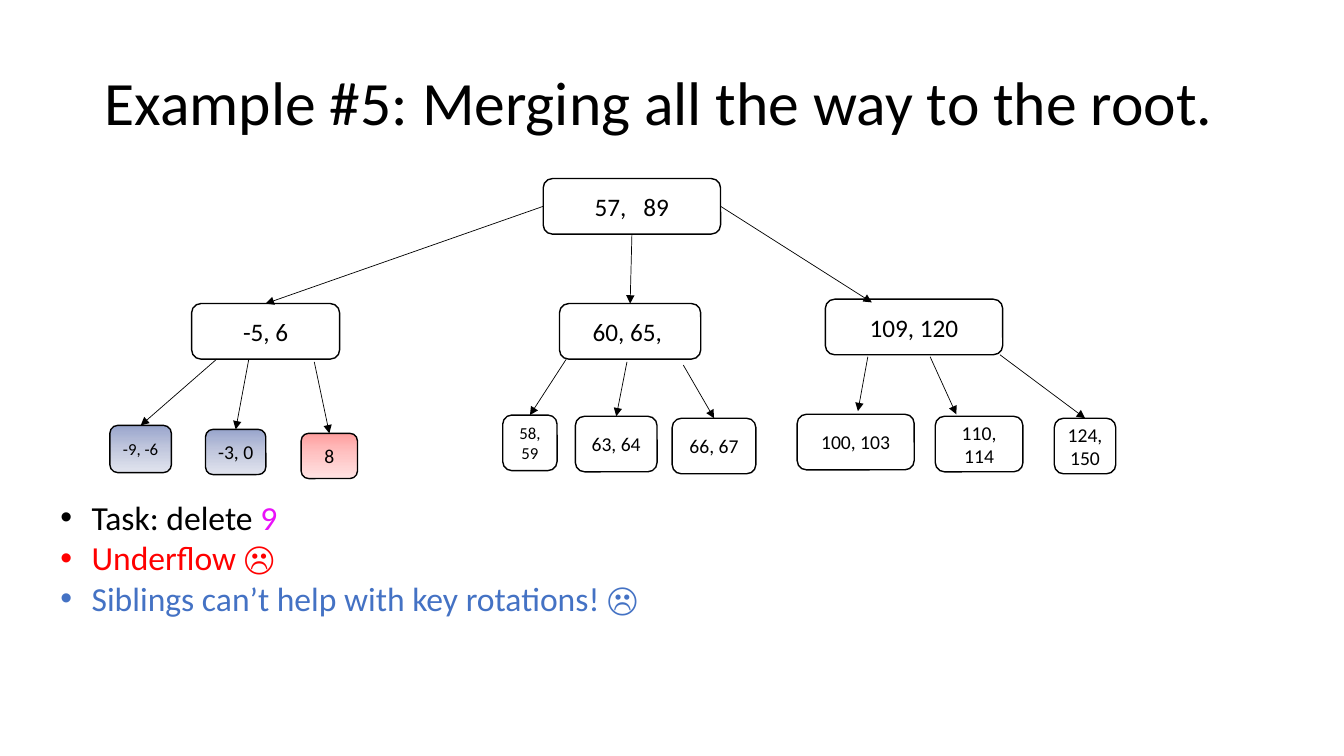
from lxml.etree import SubElement
from pptx import Presentation
from pptx.dml.color import RGBColor
from pptx.enum.shapes import MSO_CONNECTOR, MSO_SHAPE
from pptx.enum.text import MSO_ANCHOR, PP_ALIGN
from pptx.oxml.ns import qn
from pptx.util import Cm, Pt

FONT = "Calibri"
BLACK = "000000"
TITLE = "Example #5: Merging all the way to the root."
BLUES = ("99A5CC", "C2C8DE", "E1E4EE")
REDS = ("FFA0A0", "FFC5C5", "FFE3E3")
TOP, LEFT, BOTTOM, RIGHT = range(4)

NODES = {
    "root": ("57,   89", 13.69, 4.5, 4.47, 1.4, 18, None),
    "low": ("-5, 6", 4.83, 7.65, 3.73, 1.4, 18, None),
    "middle": ("60, 65, ", 14.1, 7.65, 3.56, 1.4, 18, None),
    "high": ("109, 120", 20.8, 7.54, 4.47, 1.4, 18, None),
    "low 1": ("-9, -6", 2.77, 10.72, 1.55, 1.19, 12, BLUES),
    "low 2": ("-3, 0", 5.18, 10.82, 1.52, 1.14, 14, BLUES),
    "low 3": ("8", 7.59, 10.92, 1.42, 1.14, 14, REDS),
    "middle 1": ("58, 59", 12.67, 10.46, 1.37, 1.4, 12, None),
    "middle 2": ("63, 64", 14.5, 10.49, 2.06, 1.4, 14, None),
    "middle 3": ("66, 67", 16.94, 10.54, 2.11, 1.4, 14, None),
    "high 1": ("100, 103", 20.09, 10.44, 2.95, 1.4, 14, None),
    "high 2": ("110, 114", 23.57, 10.49, 2.21, 1.4, 14, None),
    "high 3": ("124, 150", 26.57, 10.54, 1.55, 1.4, 14, None),
}

ARROWS = [
    (("root", LEFT), ("low", TOP)),
    (("root", BOTTOM), ("middle", TOP)),
    (("root", RIGHT), (21.97, 7.62)),
    ((5.46, 9.05), ("low 1", TOP)),
    ((6.27, 9.05), ("low 2", TOP)),
    ((7.92, 9.12), ("low 3", TOP)),
    ((14.27, 9.05), ("middle 1", TOP)),
    ((15.8, 9.12), ("middle 2", TOP)),
    ((17.22, 9.2), ("middle 3", TOP)),
    ((21.87, 8.99), (21.62, 10.36)),
    ((23.44, 8.99), (24.1, 10.44)),
    ((25.2, 8.94), ("high 3", TOP)),
]

BULLETS = [
    [("Task: delete ", BLACK), ("9", "E911F9")],
    [("Underflow ☹", "FF0000")],
    [("Siblings can’t help with key rotations! ☹", "4472C4")],
]


def color(value):
    return RGBColor.from_string(value)


def format_font(font, size, value=BLACK):
    font.name = FONT
    font.size = Pt(size)
    font.color.rgb = color(value)


def place(shape, left, top, width, height):
    shape.left, shape.top = Cm(left), Cm(top)
    shape.width, shape.height = Cm(width), Cm(height)


def fill_gradient(shape, shades):
    shape.fill.gradient()
    shape.fill.gradient_angle = 270
    stops = shape._element.spPr.find(qn("a:gradFill")).find(qn("a:gsLst"))
    for stop in list(stops):
        stops.remove(stop)
    for index, shade in enumerate(shades):
        stop = SubElement(stops, qn("a:gs"), pos=str(index * 50000))
        SubElement(stop, qn("a:srgbClr"), val=shade)


def add_node(slide, text, left, top, width, height, size, shades):
    shape = slide.shapes.add_shape(
        MSO_SHAPE.ROUNDED_RECTANGLE, Cm(left), Cm(top), Cm(width), Cm(height))
    shape.shadow.inherit = False
    if shades:
        fill_gradient(shape, shades)
    else:
        shape.fill.background()
    shape.line.color.rgb = color(BLACK)
    shape.line.width = Pt(1)
    frame = shape.text_frame
    frame.text = text
    frame.word_wrap = True
    frame.vertical_anchor = MSO_ANCHOR.MIDDLE
    paragraph = frame.paragraphs[0]
    paragraph.alignment = PP_ALIGN.CENTER
    format_font(paragraph.runs[0].font, size)
    return shape


def add_arrow(slide, shapes, start, end):
    begin_point, end_point = (
        (0, 0) if point[0] in shapes else point for point in (start, end))
    arrow = slide.shapes.add_connector(
        MSO_CONNECTOR.STRAIGHT, *map(Cm, begin_point + end_point))
    if start[0] in shapes:
        arrow.begin_connect(shapes[start[0]], start[1])
    if end[0] in shapes:
        arrow.end_connect(shapes[end[0]], end[1])
    arrow.line.color.rgb = color(BLACK)
    arrow.line.width = Pt(0.5)
    SubElement(arrow.line._get_or_add_ln(), qn("a:tailEnd"), type="triangle")
    SubElement(arrow._element.spPr, qn("a:effectLst"))


def add_bullets(slide):
    box = slide.shapes.add_textbox(Cm(1.27), Cm(12.4), Cm(30.48), Cm(4.37))
    frame = box.text_frame
    frame.word_wrap = True
    for index, parts in enumerate(BULLETS):
        paragraph = frame.add_paragraph() if index else frame.paragraphs[0]
        properties = paragraph._p.get_or_add_pPr()
        properties.set("marL", str(Cm(0.79)))
        properties.set("indent", str(-Cm(0.79)))
        SubElement(properties, qn("a:buFont"), typeface="Arial")
        SubElement(properties, qn("a:buChar"), char="•")
        for text, value in parts:
            run = paragraph.add_run()
            run.text = text
            format_font(run.font, 24, value)


def main():
    presentation = Presentation()
    presentation.slide_width, presentation.slide_height = Cm(33.87), Cm(19.05)
    slide = presentation.slides.add_slide(presentation.slide_layouts[5])

    title = slide.shapes.title
    place(title, 2.01, 0.81, 29.21, 3.68)
    title.text_frame.text = TITLE
    title.text_frame.vertical_anchor = MSO_ANCHOR.MIDDLE
    paragraph = title.text_frame.paragraphs[0]
    paragraph.alignment = PP_ALIGN.CENTER
    paragraph.line_spacing = 0.9
    format_font(paragraph.runs[0].font, 44)

    shapes = {name: add_node(slide, *node) for name, node in NODES.items()}
    for start, end in ARROWS:
        add_arrow(slide, shapes, start, end)
    add_bullets(slide)
    presentation.save("out.pptx")


if __name__ == "__main__":
    main()
